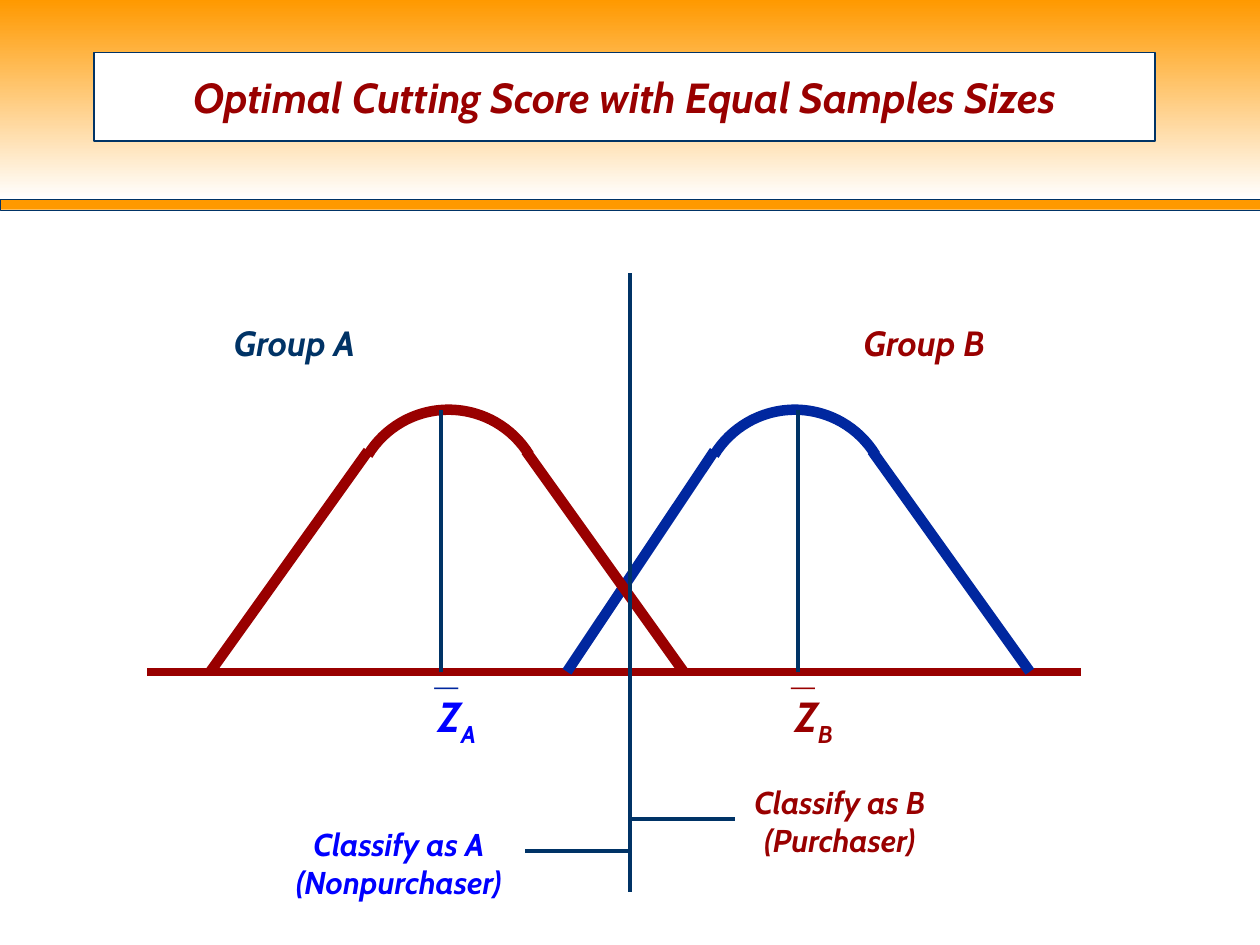
from lxml import etree
from pptx import Presentation
from pptx.dml.color import RGBColor
from pptx.enum.shapes import MSO_CONNECTOR, MSO_SHAPE
from pptx.enum.text import MSO_ANCHOR, MSO_AUTO_SIZE, PP_ALIGN
from pptx.oxml.ns import qn
from pptx.util import Cm, Pt

ORANGE = RGBColor(0xFF, 0x99, 0x00)
WHITE = RGBColor(0xFF, 0xFF, 0xFF)
NAVY = RGBColor(0x00, 0x33, 0x66)
RED = RGBColor(0x99, 0x00, 0x00)
DARK_BLUE = RGBColor(0x00, 0x27, 0x9F)
BLUE = RGBColor(0x00, 0x00, 0xFF)

deck = Presentation()
deck.slide_width, deck.slide_height = Cm(25.4), Cm(19.05)
page = deck.slides.add_slide(deck.slide_layouts[6])
shapes = page.shapes


def write(para, text, color=RED, size=18, font="Cabin", italic=True, subscript=""):
    """Fill a centred paragraph, with an optional subscript after the text."""
    para.alignment = PP_ALIGN.CENTER
    for part in filter(None, (text, subscript)):
        span = para.add_run()
        span.text = part
        span.font.name, span.font.size = font, Pt(size)
        span.font.bold, span.font.italic = True, italic
        span.font.color.rgb = color
    if subscript:
        span.font._element.set("baseline", "-25000")


def draw_line(x1, y1, x2, y2, color=NAVY, width=2.25):
    line = shapes.add_connector(MSO_CONNECTOR.STRAIGHT, Cm(x1), Cm(y1), Cm(x2), Cm(y2))
    line.line.color.rgb, line.line.width = color, Pt(width)
    etree.SubElement(line._element.spPr, qn("a:effectLst"))


# Header: orange rule, gradient band and title box
rule = shapes.add_shape(MSO_SHAPE.RECTANGLE, 0, Cm(4.02), Cm(25.4), Cm(0.21))
rule.fill.solid()
rule.fill.fore_color.rgb = ORANGE
rule.line.color.rgb, rule.line.width = NAVY, Pt(0.25)

band = shapes.add_shape(MSO_SHAPE.RECTANGLE, 0, 0, Cm(25.4), Cm(4.02))
band.fill.gradient()
band.fill.gradient_angle = 270
for stop, color, position in zip(band.fill.gradient_stops, (ORANGE, WHITE), (0, 1)):
    stop.color.rgb, stop.position = color, position
band.line.fill.background()

title = shapes.add_shape(MSO_SHAPE.RECTANGLE, Cm(1.9), Cm(1.06), Cm(21.38), Cm(1.78))
title.fill.solid()
title.fill.fore_color.rgb = WHITE
title.line.color.rgb, title.line.width = NAVY, Pt(1)
title.text_frame.word_wrap = True
title.text_frame.vertical_anchor = MSO_ANCHOR.MIDDLE
write(title.text_frame.paragraphs[0], "Optimal Cutting Score with Equal Samples Sizes", size=24)
for shape in (rule, band, title):
    shape.shadow.inherit = False

# Distribution curves: a round cap with a straight flank on each side
BASE, SHOULDER, PEAK = 13.54, 9.09, 8.26
draw_line(2.97, BASE, 21.8, BASE, RED, 4.5)
curves = [  # colour, left foot, left shoulder, cap left
    (DARK_BLUE, 11.43, 14.4, 14.12),
    (RED, 4.24, 7.42, 7.14),
]
for color, foot, shoulder, cap_left in curves:
    cap = shapes.add_shape(MSO_SHAPE.ARC, Cm(cap_left), Cm(PEAK), Cm(3.81), Cm(3.81))
    for index, degrees in enumerate((211.4, 328.6)):
        cap.adjustments[index] = degrees * 0.6  # 60000 units a degree, over 100000
    cap.fill.background()
    cap.line.color.rgb, cap.line.width = color, Pt(6)
    cap.shadow.inherit = False
    right = shoulder + 3.18
    draw_line(shoulder, SHOULDER, foot, BASE, color, 6)
    draw_line(right, SHOULDER, right + 3.18, BASE, color, 6)

# Group means and the cutting score
for mean in (8.89, 16.08):
    draw_line(mean, PEAK, mean, BASE)
draw_line(12.7, 5.51, 12.7, 17.98)

# Group names and classification labels
labels = [
    ("Group B", 16.31, 6.35, 4.65, 1.12, RED, 20),
    ("Group A", 3.61, 6.35, 4.65, 1.12, NAVY, 20),
    ("Classify as B (Purchaser)", 13.97, 15.67, 5.92, 1.78, RED, 18),
    ("Classify as A (Nonpurchaser)", 5.08, 16.51, 5.92, 1.78, BLUE, 18),
]
for text, left, top, width, height, color, size in labels:
    box = shapes.add_textbox(Cm(left), Cm(top), Cm(width), Cm(height))
    box.text_frame.word_wrap = True
    box.text_frame.auto_size = MSO_AUTO_SIZE.SHAPE_TO_FIT_TEXT
    write(box.text_frame.paragraphs[0], text, color=color, size=size)

# Mean symbols: a bar above Z with the group as subscript
for group, left, bar_color, color in (("A", 8.05, DARK_BLUE, BLUE), ("B", 15.24, RED, RED)):
    box = shapes.add_textbox(Cm(left), Cm(13.34), Cm(1.9), Cm(1.65))
    frame = box.text_frame
    frame.word_wrap = True
    frame.auto_size = MSO_AUTO_SIZE.SHAPE_TO_FIT_TEXT
    bar, symbol = frame.paragraphs[0], frame.add_paragraph()
    bar.line_spacing = symbol.line_spacing = 0.4
    symbol.space_before = Pt(15)
    symbol._p.get_or_add_pPr().set("marL", str(Cm(0.44)))
    write(bar, "_", color=bar_color, size=24, font="Arial", italic=False)
    write(symbol, "Z", color=color, size=24, subscript=group)

# Ticks from the cutting score to the labels
draw_line(10.59, 17.15, 12.7, 17.15)
draw_line(12.7, 16.51, 14.81, 16.51)

deck.save("out.pptx")
